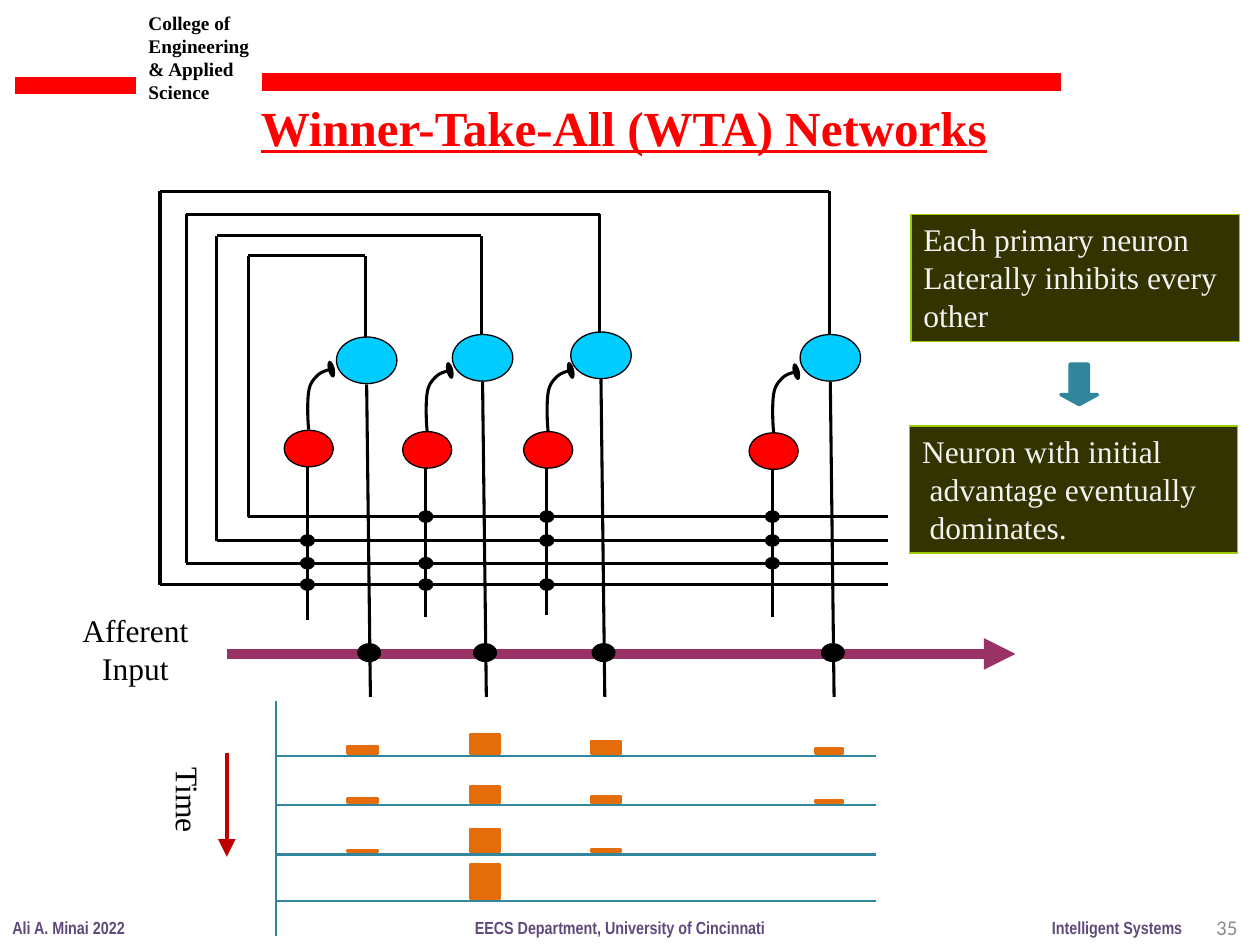
"""Build a slide on winner-take-all networks."""
from dataclasses import dataclass

from lxml.etree import SubElement
from pptx import Presentation
from pptx.dml.color import RGBColor
from pptx.enum.shapes import MSO_CONNECTOR as Link, MSO_SHAPE as Kind
from pptx.enum.text import MSO_ANCHOR as Anchor, PP_ALIGN as Align
from pptx.oxml.ns import qn
from pptx.util import Cm, Pt

BLACK = RGBColor(0, 0, 0)
RED = RGBColor(0xFF, 0, 0)
BLUE = RGBColor(0, 0xCC, 0xFF)
TEAL = RGBColor(0x31, 0x85, 0x9C)
ORANGE = RGBColor(0xE4, 0x6C, 0x0A)
PLUM = RGBColor(0x99, 0x33, 0x66)
CRIMSON = RGBColor(0xC0, 0, 0)
VIOLET = RGBColor(0x60, 0x4A, 0x7B)
GREY = RGBColor(0x8C, 0x8C, 0x8C)
PALE = RGBColor(0xF2, 0xF2, 0xF2)
OLIVE = RGBColor(0x33, 0x33, 0)
LIME = RGBColor(0x99, 0xCC, 0)
SERIF = "Times New Roman"


@dataclass
class Cell:
    """Primary neuron, its inhibitor, its axon and its feedback loop."""
    x: float
    y: float
    post: float
    body: float
    foot: float
    end: float
    left: float
    top: float
    bus: float


@dataclass
class Style:
    """Look of a piece of text."""
    size: float
    color: RGBColor = BLACK
    font: str = SERIF
    bold: bool = False
    line: bool = False
    align: Align = Align.LEFT


CELLS = [
    Cell(2.91, 2.86, 2.44, 3.41, 4.92, 2.93, 1.97, 2.03, 4.1),
    Cell(3.83, 2.84, 3.38, 3.42, 4.9, 3.85, 1.72, 1.87, 4.29),
    Cell(4.77, 2.82, 4.34, 3.42, 4.88, 4.79, 1.48, 1.7, 4.47),
    Cell(6.59, 2.84, 6.13, 3.43, 4.9, 6.61, 1.27, 1.52, 4.64),
]
BARS = [2.76, 3.73, 4.69, 6.47]
STEPS = {
    6: [0.06, 0.15, 0.1, 0.04],
    6.39: [0.03, 0.13, 0.05, 0.02],
    6.78: [0.01, 0.18, 0.02],
    7.15: [0, 0.27],
}
CURVE = [(0, 0), (-0.01, -0.11), (-0.01, -0.23), (0, -0.3), (0.01, -0.37),
         (0.04, -0.4), (0.07, -0.43), (0.1, -0.46), (0.14, -0.47), (0.18, -0.48)]


def cm(inch: float) -> Cm:
    """Turn inches into a length."""
    return Cm(inch * 2.54)


def tip(shape, kind: str, wide: str, long: str) -> None:
    """Put a head on the end of a line."""
    SubElement(shape.line._get_or_add_ln(), qn("a:tailEnd"), type=kind, w=wide, len=long)


def wire(shapes, x1: float, y1: float, x2: float, y2: float,
         color: RGBColor = BLACK, width: float = 1.75, head: str = ""):
    """Draw a straight line, with an arrowhead of the given size."""
    link = shapes.add_connector(Link.STRAIGHT, cm(x1), cm(y1), cm(x2), cm(y2))
    link.line.color.rgb = color
    link.line.width = Pt(width)
    if head:
        tip(link, "triangle", head, head)
    SubElement(link._element.spPr, qn("a:effectLst"))


def block(shapes, kind: Kind, x: float, y: float, w: float, h: float,
          fill: RGBColor, edge: RGBColor, width: float = 0.75):
    """Draw a filled preset shape."""
    shape = shapes.add_shape(kind, cm(x), cm(y), cm(w), cm(h))
    shape.shadow.inherit = False
    shape.fill.solid()
    shape.fill.fore_color.rgb = fill
    shape.line.color.rgb = edge
    shape.line.width = Pt(width)
    return shape


def oval(shapes, x: float, y: float, w: float, h: float, fill: RGBColor = BLACK):
    """Draw an ellipse around a centre."""
    block(shapes, Kind.OVAL, x - w / 2, y - h / 2, w, h, fill, BLACK)


def write(shape, text: str, style: Style, wrap: bool = False, anchor: Anchor = Anchor.TOP):
    """Fill a shape with styled text."""
    frame = shape.text_frame
    frame.text = text
    frame.word_wrap = wrap
    frame.vertical_anchor = anchor
    for para in frame.paragraphs:
        para.alignment = style.align
        for run in para.runs:
            font = run.font
            font.name, font.size = style.font, Pt(style.size)
            font.bold, font.underline = style.bold, style.line
            font.color.rgb = style.color


def label(shapes, x: float, y: float, w: float, h: float, text: str, style: Style,
          wrap: bool = False, anchor: Anchor = Anchor.TOP):
    """Add a text box."""
    box = shapes.add_textbox(cm(x), cm(y), cm(w), cm(h))
    write(box, text, style, wrap, anchor)
    return box


def bend(shapes, x: float, y: float) -> None:
    """Draw the curved synapse that rises from an inhibitor."""
    dots = []
    for i in range(0, 9, 3):
        a, b, c, d = CURVE[i:i + 4]
        for t in (n / 8 for n in range(1, 9)):
            s = 1 - t
            dots.append(tuple(
                cm(o + s**3 * p + 3 * s * s * t * q + 3 * s * t * t * r + t**3 * e)
                for o, p, q, r, e in zip((x, y), a, b, c, d)))
    pen = shapes.build_freeform(cm(x), cm(y))
    pen.add_line_segments(dots, close=False)
    curve = pen.convert_to_shape()
    curve.shadow.inherit = False
    curve.fill.background()
    curve.line.color.rgb = BLACK
    curve.line.width = Pt(1.75)
    tip(curve, "oval", "lg", "sm")


def frame(shapes) -> None:
    """Draw the header and footer."""
    label(shapes, 1.08, 0.04, 1.09, 0.84, "College of Engineering & Applied\nScience",
          Style(11, bold=True), wrap=True)
    wire(shapes, 0.12, 0.68, 1.08, 0.68, RED, 10)
    wire(shapes, 2.08, 0.65, 8.42, 0.65, RED, 10)
    foot = Style(10, VIOLET, "Arial Narrow", bold=True)
    for x, w, text in ((0, 1.1, "Ali A. Minai 2022"), (8.25, 1.24, "Intelligent Systems"),
                       (3.67, 2.52, "EECS Department, University of Cincinnati")):
        label(shapes, x, 7.23, w, 0.27, text, foot)
    label(shapes, 7.59, 7.16, 2.33, 0.4, "35", Style(12, GREY, "Calibri", align=Align.RIGHT),
          wrap=True, anchor=Anchor.MIDDLE)


def chart(shapes) -> None:
    """Draw the activity of each neuron over time."""
    for base, highs in STEPS.items():
        wire(shapes, 2.2, base, 6.95, base, TEAL, 1.5)
        for x, high in zip(BARS, highs):
            if high:
                block(shapes, Kind.RECTANGLE, x, base - 0.02 - high, 0.24 if x < 6 else 0.22,
                      high, ORANGE, ORANGE, 1.5)
    wire(shapes, 2.19, 5.56, 2.19, 7.43, TEAL, 1.5)
    wire(shapes, 1.8, 5.98, 1.8, 6.8, CRIMSON, 2, "lg")
    mid = Style(18, align=Align.CENTER)
    label(shapes, 1.13, 6.15, 0.73, 0.4, "Time", mid).rotation = 90
    label(shapes, 0.55, 4.8, 1.05, 0.7, "Afferent\nInput", mid)


def net(shapes) -> None:
    """Draw the neurons and their wiring."""
    wire(shapes, 1.8, 5.19, 8.06, 5.19, PLUM, 6, "med")
    for cell in CELLS:
        stem = cell.x - 0.01
        oval(shapes, cell.x, cell.y, 0.48, 0.37, BLUE)
        wire(shapes, stem, cell.y - 0.18, stem, cell.top)
        wire(shapes, stem, cell.top, cell.left, cell.top)
        wire(shapes, cell.left, cell.top, cell.left, cell.bus)
        wire(shapes, cell.left, cell.bus, 7.05, cell.bus)
    for cell in CELLS:
        wire(shapes, cell.post, cell.body + 0.29, cell.post, cell.foot)
        oval(shapes, cell.post + 0.01, cell.body + 0.15, 0.39, 0.29, RED)
        bend(shapes, cell.post + 0.01, cell.body)
        wire(shapes, cell.x, cell.y + 0.19, cell.end + 0.01, 5.53)
        oval(shapes, cell.end, 5.18, 0.18, 0.14)
        for peer in CELLS:
            if peer is not cell:
                oval(shapes, cell.post, peer.bus, 0.11, 0.09)


def notes(shapes) -> None:
    """Draw the two statements and the arrow between them."""
    pale = Style(18, PALE)
    first = block(shapes, Kind.RECTANGLE, 7.23, 1.7, 2.61, 1.01, OLIVE, LIME)
    write(first, "Each primary neuron\nLaterally inhibits every\nother", pale)
    last = block(shapes, Kind.RECTANGLE, 7.22, 3.38, 2.6, 1.01, OLIVE, LIME)
    write(last, "Neuron with initial\nadvantage eventually\ndominates.", pale, wrap=True)
    for para in last.text_frame.paragraphs[1:]:
        para._p.get_or_add_pPr().set("marL", str(cm(0.06)))
    arrow = block(shapes, Kind.DOWN_ARROW, 8.42, 2.89, 0.29, 0.32, TEAL, TEAL, 2)
    arrow.adjustments[1] = 0.27


def main() -> None:
    """Make and save the deck."""
    deck = Presentation()
    deck.slide_width, deck.slide_height = cm(10), cm(7.5)
    slide = deck.slides.add_slide(deck.slide_layouts[5])
    title = slide.shapes.title
    title.left, title.top, title.width, title.height = cm(1.97), cm(0.72), cm(6.06), cm(0.57)
    write(title, "Winner-Take-All (WTA) Networks", Style(28, RED, bold=True, line=True))
    for draw in (frame, chart, net, notes):
        draw(slide.shapes)
    deck.save("out.pptx")


if __name__ == "__main__":
    main()
